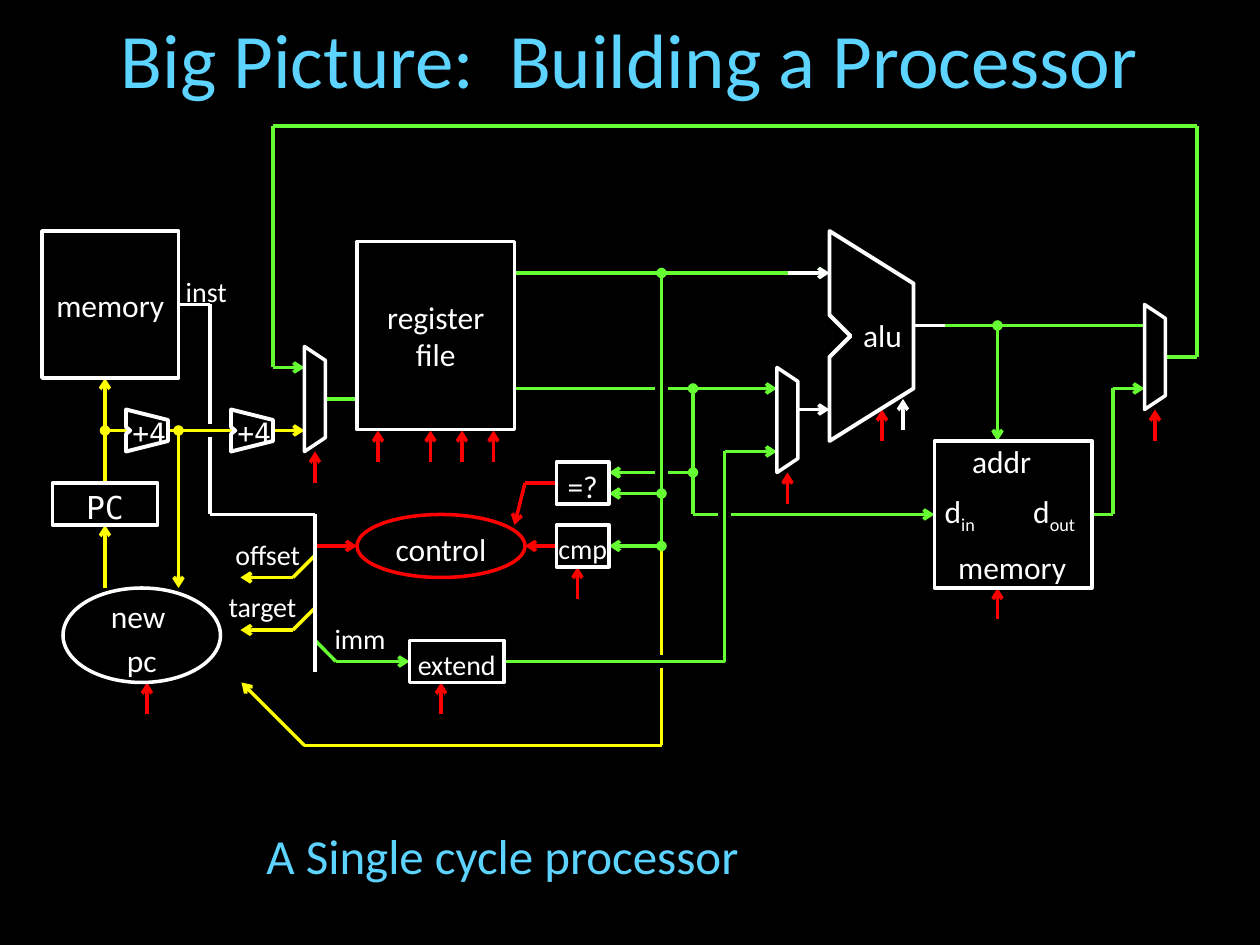
import dataclasses
import typing

import pptx
import pptx.dml.color
import pptx.enum.shapes
import pptx.enum.text
import pptx.oxml
import pptx.oxml.ns
import pptx.util

WHITE, BLACK, RED, GREEN, YELLOW, BLUE = (
    "FFFFFF", "000000", "FF0000", "66FF33", "FFFF00", "5DD4FF")
COLUMNS, ROWS = 120, 90
CELL = pptx.util.Inches(10) / COLUMNS
RECTANGLE = pptx.enum.shapes.MSO_SHAPE.RECTANGLE
OVAL = pptx.enum.shapes.MSO_SHAPE.OVAL
CENTER = pptx.enum.text.PP_ALIGN.CENTER
LEFT = pptx.enum.text.PP_ALIGN.LEFT
MIDDLE = pptx.enum.text.MSO_ANCHOR.MIDDLE
TOP = pptx.enum.text.MSO_ANCHOR.TOP

Point = tuple[float, float]
Frame = tuple[float, float, float, float]


@dataclasses.dataclass
class Label:
    text: str
    size: float = 18
    font: str = "Calibri"
    color: str = WHITE
    spacing: float = 1.16
    wrap: bool = True
    side_inset: float = 0.1
    align: typing.Any = CENTER
    anchor: typing.Any = MIDDLE


@dataclasses.dataclass
class Box:
    frame: Frame
    label: Label | None = None
    preset: typing.Any = RECTANGLE
    color: str = WHITE


@dataclasses.dataclass
class Wire:
    color: str
    points: list[Point]
    head: str = ""
    tail: str = "arrow"
    width: float = 2


@dataclasses.dataclass
class Outline:
    origin: Point
    points: list[Point]
    width: float = 2.25
    fill: str = ""


MUX = [(0, 0), (2, 1.33), (2, 8.67), (0, 10)]
ADDER = [(0, 0), (4, 1), (4, 3), (0, 4), (0, 2.33), (0.4, 2), (0, 1.67)]
ALU = [(0, 0), (8, 5), (8, 15), (0, 20), (0, 12), (2, 10), (0, 8)]

WIRES = [
    Wire(RED, [(30, 52), (34, 52)]),
    Wire(RED, [(53, 52), (50, 52)]),
    Wire(RED, [(53, 46), (50, 46), (49, 50)]),
    Wire(GREEN, [(49, 26), (79, 26)]),
    Wire(GREEN, [(49, 37), (74, 37)]),
    Wire(GREEN, [(111, 34), (114, 34), (114, 12), (26, 12), (26, 35), (29, 35)]),
    Wire(GREEN, [(109, 31), (87, 31)], tail=""),
    Wire(GREEN, [(34, 38), (31, 38)], tail=""),
    Wire(GREEN, [(30, 61), (32, 63), (39, 63)]),
    Wire(GREEN, [(66, 37), (66, 49), (89, 49)], head="oval"),
    Wire(GREEN, [(95, 31), (95, 42)], head="oval"),
    Wire(GREEN, [(104, 49), (106, 49), (106, 37), (109, 37)]),
    Wire(GREEN, [(66, 45), (58, 45)], head="oval"),
    Wire(GREEN, [(63, 47), (58, 47)], head="oval"),
    Wire(GREEN, [(63, 52), (58, 52)]),
    Wire(YELLOW, [(10, 46), (10, 36)]),
    Wire(YELLOW, [(10, 56), (10, 50)]),
    Wire(YELLOW, [(17, 41), (17, 56)], head="oval"),
    Wire(YELLOW, [(29.9, 53), (27.9, 55), (22.9, 55)]),
    Wire(YELLOW, [(29.9, 58), (27.9, 60), (22.9, 60)]),
    Wire(YELLOW, [(63, 52), (63, 71), (29, 71), (23, 65)]),
    Wire(WHITE, [(17, 29), (20, 29), (20, 49), (30, 49), (30, 64)], tail=""),
    Wire(WHITE, [(76, 39), (79, 39)]),
    Wire(WHITE, [(86, 41), (86, 38)]),
    Wire(WHITE, [(75, 26), (79, 26)]),
    Wire(WHITE, [(90, 31), (87, 31)], tail=""),
]
CONTROL_TIPS = [(95, 56), (110, 39), (84, 39), (75, 45), (42, 65), (14, 65),
                (30, 43), (36, 41), (41, 41), (44, 41), (47, 41), (55, 54)]
CROSSINGS = [[(19, 41), (22, 41)], [(62, 63), (65, 63)], [(63, 36), (63, 38)],
             [(63, 44), (63, 46)], [(69, 48), (69, 50)]]
OVERPASSES = [
    Wire(YELLOW, [(10, 41), (29, 41)], head="oval"),
    Wire(GREEN, [(48, 63), (69, 63), (69, 43), (74, 43)]),
    Wire(GREEN, [(63, 52), (63, 26)], head="oval", tail="oval"),
]
BOXES = [
    Box((4, 22, 13, 14), Label("memory", spacing=1)),
    Box((5, 46, 10, 4), Label("PC", font="DejaVu Sans Mono")),
    Box((34, 23, 15, 17.9), Label("register\nfile", spacing=1)),
    Box((53, 44, 5, 4), Label("=?", side_inset=0)),
    Box((53, 50, 5, 4), Label("cmp", 16, side_inset=0)),
    Box((39, 61, 9, 4), Label("extend", 16, side_inset=0)),
    Box((89, 42, 15, 14)),
    Box((34, 49, 16, 6), Label("control", wrap=False), OVAL, RED),
    Box((6, 56, 15, 9), Label("new \npc", wrap=False), OVAL),
]
OUTLINES = [Outline(origin, MUX, 2) for origin in [(29, 33), (74, 35), (109, 29)]]
OUTLINES.append(Outline((79, 22), ALU))
ADDERS = [(12, 39), (22, 39)]
LABELS = [
    ((3, 2, 114, 7), Label("Big Picture:  Building a Processor", 44, color=BLUE, spacing=1)),
    ((30.7, 59, 7.2, 3), Label("imm", 16, wrap=False)),
    ((22, 56, 6, 3), Label("target", 16, wrap=False)),
    ((22, 51, 7, 3), Label("offset", 16, wrap=False)),
    ((17, 26, 5.3, 3), Label("inst", 16, wrap=False)),
    ((90, 51, 12.8, 5.4), Label("memory")),
    ((89, 41, 12.8, 5.2), Label("addr")),
    ((88, 46, 6.8, 5.2), Label("d|in")),
    ((97, 46, 6.8, 5.2), Label("d|out")),
    ((81, 29, 6.1, 5.2), Label("alu", wrap=False)),
    ((24.2, 78, 47.9, 6.8), Label("A Single cycle processor", 28, color=BLUE,
                                  spacing=1, wrap=False, align=LEFT, anchor=TOP)),
]


def rgb(value: str) -> pptx.dml.color.RGBColor:
    return pptx.dml.color.RGBColor.from_string(value)


def cells(*values: float) -> list[int]:
    return [round(value * CELL) for value in values]


def apply(target: typing.Any, values: dict[str, typing.Any]) -> None:
    for name, value in values.items():
        setattr(target, name, value)


def paint_line(line: typing.Any, color: str, width: float) -> None:
    line.color.rgb = rgb(color)
    line.width = pptx.util.Pt(width)


def write(shape: typing.Any, label: Label) -> None:
    inset = pptx.util.Inches(label.side_inset)
    apply(shape.text_frame, {"word_wrap": label.wrap, "vertical_anchor": label.anchor,
                             "margin_left": inset, "margin_right": inset})
    paragraph = shape.text_frame.paragraphs[0]
    base, _, subscript = label.text.partition("|")
    paragraph.text = base
    if subscript:
        run = paragraph.add_run()
        run.text = subscript
        run.font._element.set("baseline", "-25000")
    apply(paragraph, {"alignment": label.align, "line_spacing": label.spacing})
    for run in paragraph.runs:
        apply(run.font, {"size": pptx.util.Pt(label.size), "name": label.font})
        run.font.color.rgb = rgb(label.color)


def draw_box(slide: typing.Any, box: Box) -> None:
    shape = slide.shapes.add_shape(box.preset, *cells(*box.frame))
    shape.shadow.inherit = False
    shape.fill.background()
    if box.color:
        paint_line(shape.line, box.color, 2)
    else:
        shape.line.fill.background()
    if box.label:
        write(shape, box.label)


def draw_label(slide: typing.Any, frame: Frame, label: Label) -> None:
    if label.wrap:
        write(slide.shapes.add_textbox(*cells(*frame)), label)
    else:
        draw_box(slide, Box(frame, label, color=""))


def draw_outline(slide: typing.Any, outline: Outline) -> None:
    left, top = outline.origin
    points = [cells(left + x, top + y) for x, y in outline.points]
    builder = slide.shapes.build_freeform(*points[0])
    builder.add_line_segments(points[1:], close=True)
    shape = builder.convert_to_shape()
    shape.shadow.inherit = False
    if outline.fill:
        shape.fill.solid()
        shape.fill.fore_color.rgb = rgb(outline.fill)
    else:
        shape.fill.background()
    paint_line(shape.line, WHITE, outline.width)


def draw_wire(slide: typing.Any, wire: Wire) -> None:
    last = len(wire.points) - 2
    for index, (start, end) in enumerate(zip(wire.points, wire.points[1:])):
        connector = slide.shapes.add_connector(
            pptx.enum.shapes.MSO_CONNECTOR.STRAIGHT, *cells(*start, *end))
        paint_line(connector.line, wire.color, wire.width)
        properties = connector._element.spPr
        line = properties.find(pptx.oxml.ns.qn("a:ln"))
        ends = {"a:headEnd": wire.head if index == 0 else "",
                "a:tailEnd": wire.tail if index == last else ""}
        for tag, kind in ends.items():
            if kind:
                line.append(line.makeelement(pptx.oxml.ns.qn(tag), {"type": kind}))
        properties.append(properties.makeelement(pptx.oxml.ns.qn("a:effectLst"), {}))


def main() -> None:
    presentation = pptx.Presentation()
    apply(presentation, {"slide_width": cells(COLUMNS)[0], "slide_height": cells(ROWS)[0]})
    slide = presentation.slides.add_slide(presentation.slide_layouts[6])
    slide.background.fill.solid()
    slide.background.fill.fore_color.rgb = rgb(BLACK)
    controls = [Wire(RED, [(x, y + 3), (x, y)]) for x, y in CONTROL_TIPS]
    gaps = [Wire(BLACK, points, tail="", width=7) for points in CROSSINGS]
    for wire in WIRES + controls + gaps + OVERPASSES:
        draw_wire(slide, wire)
    for box in BOXES:
        draw_box(slide, box)
    for outline in OUTLINES:
        draw_outline(slide, outline)
    for left, top in ADDERS:
        draw_outline(slide, Outline((left, top), ADDER, fill=BLACK))
        draw_label(slide, (left + 1.2, top + 0.4, 2, 3),
                   Label("+4", 16, "DejaVu Sans Mono", wrap=False, side_inset=0))
    for frame, label in LABELS:
        draw_label(slide, frame, label)
    presentation.save("out.pptx")


if __name__ == "__main__":
    main()
